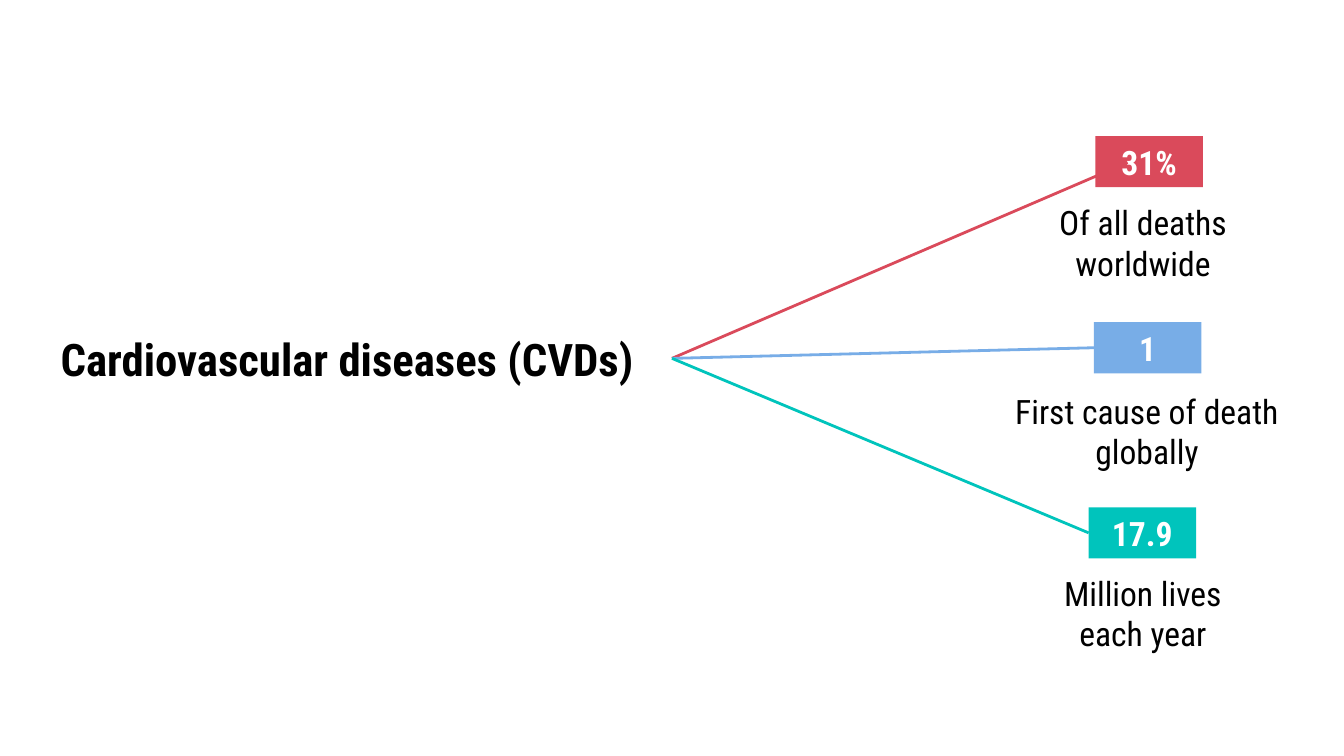
from dataclasses import dataclass

from lxml import etree
from pptx import Presentation
from pptx.dml.color import RGBColor
from pptx.enum import shapes, text
from pptx.oxml import ns
from pptx.util import Pt


@dataclass(frozen=True)
class Theme:
    font: str = "Roboto Condensed"
    ink: str = "000000"
    paper: str = "FFFFFF"
    red: str = "DA4A5B"
    blue: str = "78ADE7"
    teal: str = "00C4BC"
    title_size: float = 24
    body_size: float = 18
    branch_width: float = 1.5


THEME = Theme()
INSET = 7.2
BADGE_WIDTH, BADGE_HEIGHT = 57.6, 27.4
HUB = (360, 192)


def rgb(value):
    return RGBColor.from_string(value)


def write(holder, words, size=THEME.body_size, color=THEME.ink, bold=False):
    frame = holder.text_frame
    frame.word_wrap = True
    frame.vertical_anchor = text.MSO_ANCHOR.MIDDLE
    frame.margin_left = frame.margin_right = Pt(INSET)
    frame.margin_top = frame.margin_bottom = Pt(INSET)
    paragraph = frame.paragraphs[0]
    paragraph.alignment = text.PP_ALIGN.CENTER
    run = paragraph.add_run()
    run.text = words
    run.font.name = THEME.font
    run.font.size = Pt(size)
    run.font.bold = bold
    run.font.color.rgb = rgb(color)


def add_label(slide, box, words, **style):
    label = slide.shapes.add_textbox(*map(Pt, box))
    write(label, words, **style)


def add_badge(slide, left, top, figure, color):
    badge = slide.shapes.add_shape(
        shapes.MSO_SHAPE.RECTANGLE, Pt(left), Pt(top), Pt(BADGE_WIDTH), Pt(BADGE_HEIGHT)
    )
    badge.shadow.inherit = False
    badge.fill.solid()
    badge.fill.fore_color.rgb = rgb(color)
    badge.line.fill.background()
    write(badge, figure, color=THEME.paper, bold=True)
    return badge


def add_branch(slide, end, color, badge=None):
    branch = slide.shapes.add_connector(
        shapes.MSO_CONNECTOR.STRAIGHT, *map(Pt, HUB + end)
    )
    if badge is not None:
        branch.end_connect(badge, 1)
    branch.line.color.rgb = rgb(color)
    branch.line.width = Pt(THEME.branch_width)
    etree.SubElement(branch._element.spPr, ns.qn("a:effectLst"))


def add_fact(slide, figure, color, corner, caption, caption_box, free_end=None):
    left, top = corner
    add_label(slide, caption_box, caption)
    badge = add_badge(slide, left, top, figure, color)
    if free_end:
        add_branch(slide, free_end, color)
    else:
        add_branch(slide, (left, top + BADGE_HEIGHT / 2), color, badge)


def main():
    deck = Presentation()
    deck.slide_width, deck.slide_height = Pt(720), Pt(405)
    slide = deck.slides.add_slide(deck.slide_layouts[6])

    add_label(slide, (-138, 169.2, 648, 45.4), "Cardiovascular diseases (CVDs)",
              size=THEME.title_size, bold=True)
    add_fact(slide, "31%", THEME.red, (586.8, 72.9),
             "Of all deaths worldwide", (526.3, 103.7, 172.1, 52.6),
             free_end=(604.1, 87.1))
    add_fact(slide, "1", THEME.blue, (586, 172.6),
             "First cause of death globally", (534.2, 215.6, 160.6, 31))
    add_fact(slide, "17.9", THEME.teal, (583.2, 271.8),
             "Million lives each year", (562.1, 314.6, 100.4, 27.4))

    deck.save("out.pptx")


if __name__ == "__main__":
    main()
